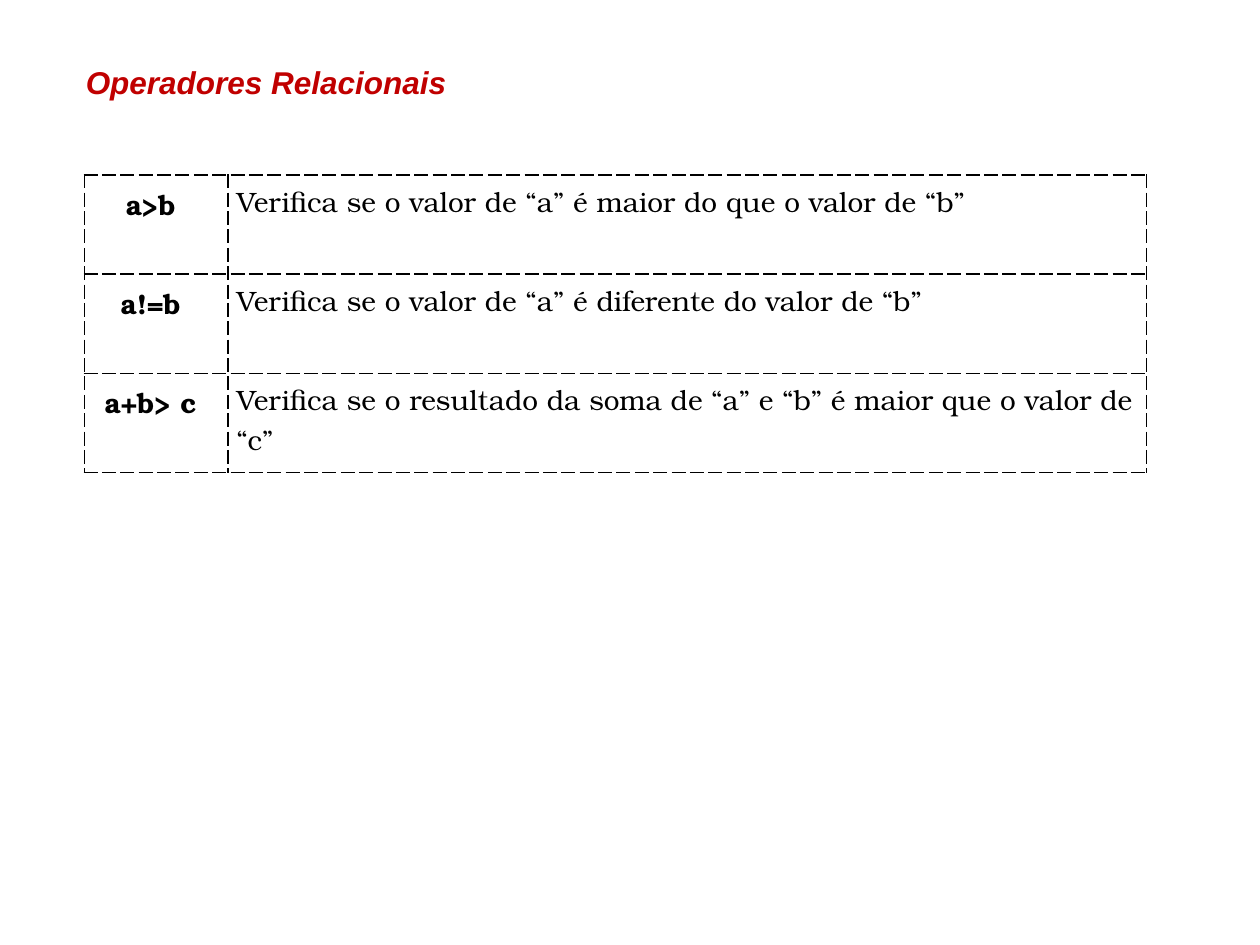
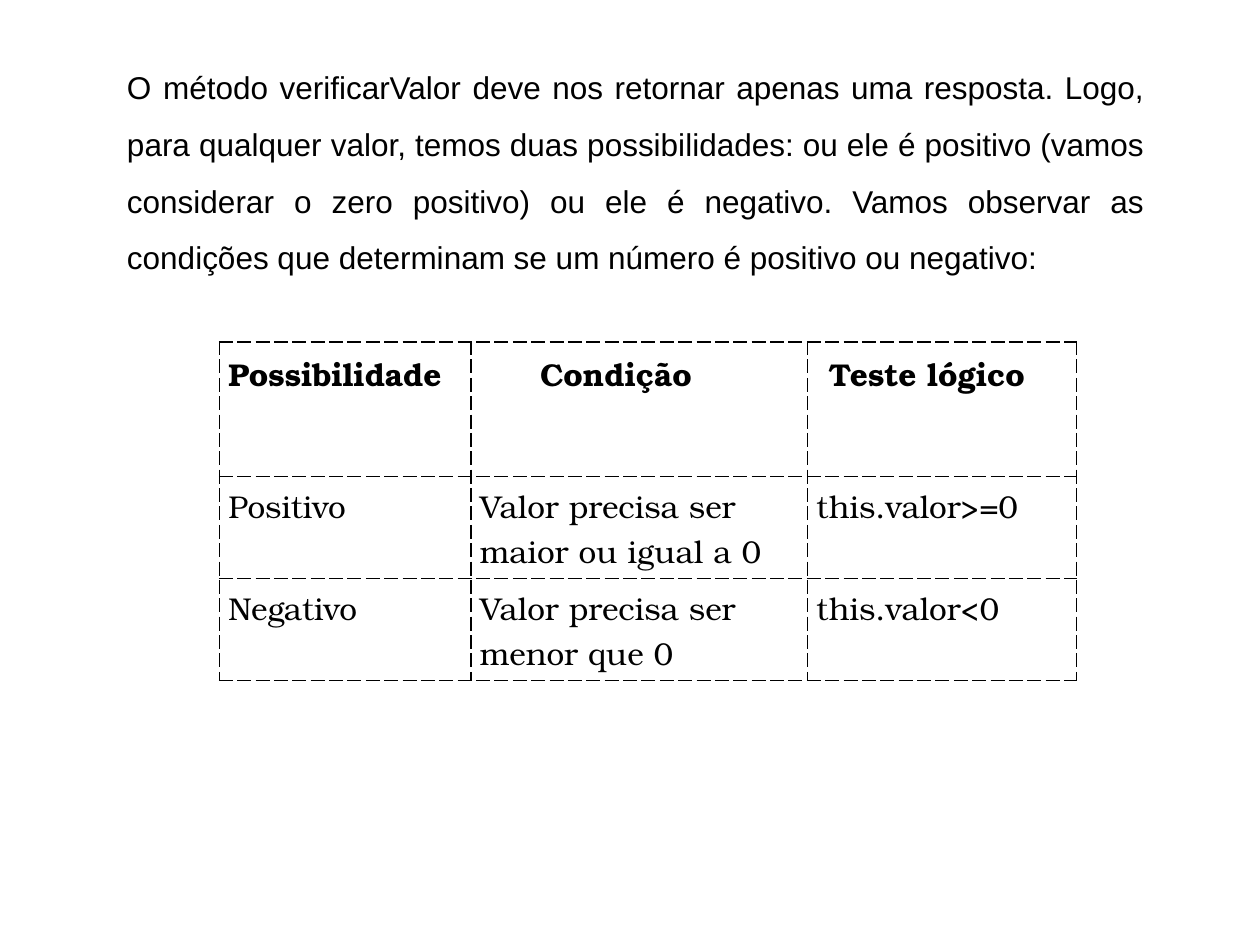
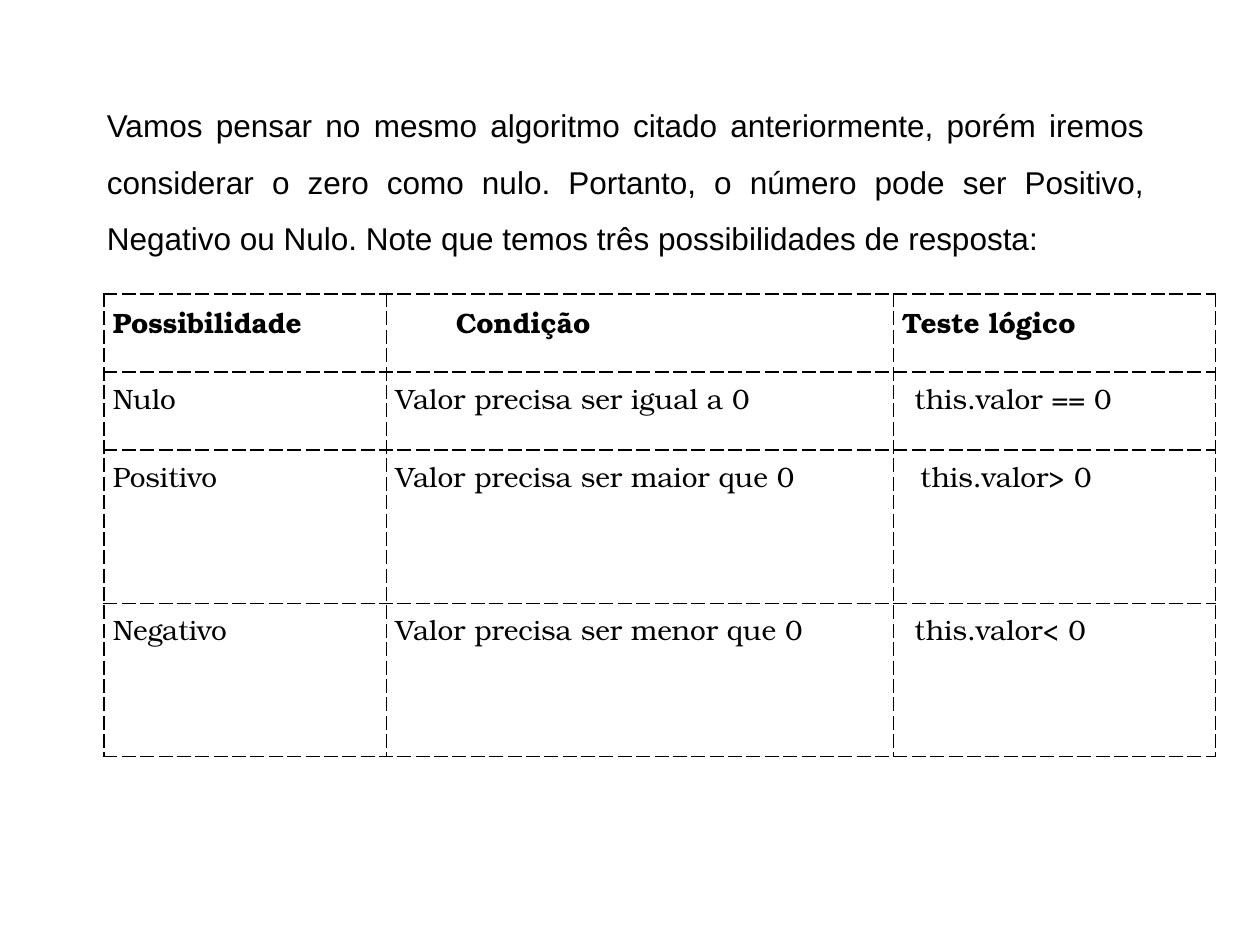
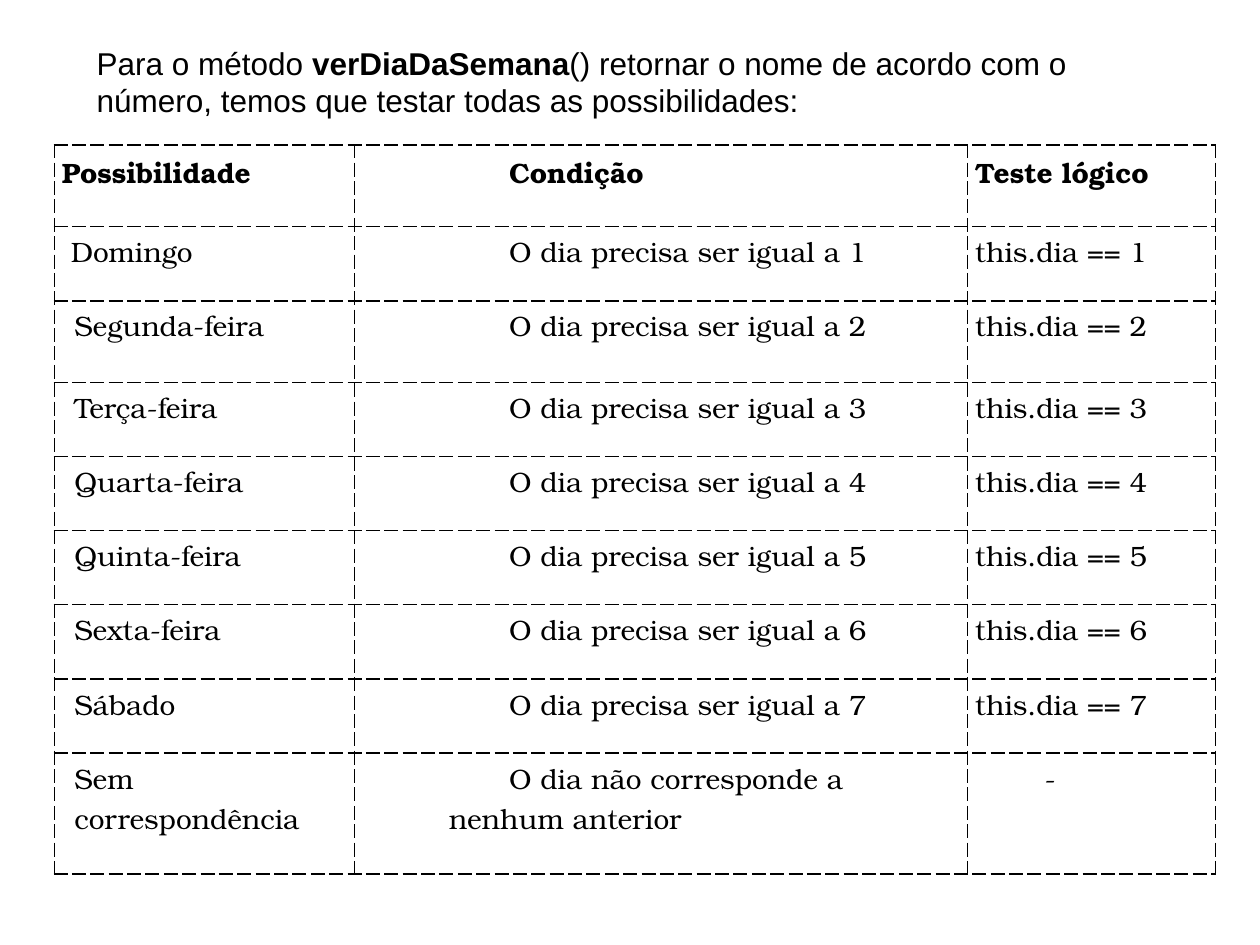
from dataclasses import dataclass

from lxml.etree import SubElement
from pptx import Presentation
from pptx.dml.color import RGBColor
from pptx.enum.text import MSO_ANCHOR, MSO_AUTO_SIZE, PP_ALIGN
from pptx.oxml.ns import qn
from pptx.util import Pt


@dataclass(frozen=True)
class Theme:
    ink: str = "000000"
    title: str = "C00000"
    paper: str = "FFFFFF"
    sans: str = "Arial"
    serif: str = "TeX Gyre Bonum"
    text_size: float = 18
    cell_size: float = 16
    cell_spacing: float = 1.07
    border_width: float = 1
    border_dash: str = "dash"


TITLE_ONLY, BLANK = 5, 6
HEADINGS = ["Possibilidade", "Condição", "Teste lógico"]

# Paragraph indents as (left margin, first line), in points
FIRST_LINE = (0, 34.5)
SMALL = (7.2, 0)
DEEP = (49.7, 34.5)


def write_text(para, text, font, size, color, bold=False, italic=False):
    """Add one formatted span to a paragraph."""
    span = para.add_run()
    span.text = text
    span.font.name = font
    span.font.size = Pt(size)
    span.font.color.rgb = RGBColor.from_string(color)
    span.font.bold = bold
    span.font.italic = italic


class SlideBuilder:
    """Holds the theme, the deck and the page being filled."""

    def __init__(self, theme):
        self.theme = theme
        self.deck = Presentation()
        self.deck.slide_width = Pt(720)
        self.deck.slide_height = Pt(540)
        self.page = None

    def new_page(self, layout=BLANK):
        self.page = self.deck.slides.add_slide(self.deck.slide_layouts[layout])
        fill = self.page.background.fill
        fill.solid()
        fill.fore_color.rgb = RGBColor.from_string(self.theme.paper)

    def title(self, text, left, top, width, height):
        box = self.page.shapes.title
        box.left, box.top, box.width, box.height = map(Pt, (left, top, width, height))
        frame = box.text_frame
        frame.word_wrap = False
        frame.auto_size = MSO_AUTO_SIZE.NONE
        frame.vertical_anchor = MSO_ANCHOR.TOP
        frame.margin_left, frame.margin_top = Pt(49), Pt(4.5)
        para = frame.paragraphs[0]
        para.alignment = PP_ALIGN.LEFT
        write_text(para, text, self.theme.sans, self.theme.text_size,
                   self.theme.title, bold=True, italic=True)

    def intro(self, spans, left, top, width, height,
              align=PP_ALIGN.JUSTIFY, spacing=1.5):
        """Place a paragraph made of (text, bold) spans."""
        box = self.page.shapes.add_textbox(*map(Pt, (left, top, width, height)))
        frame = box.text_frame
        frame.word_wrap = True
        frame.vertical_anchor = MSO_ANCHOR.MIDDLE
        para = frame.paragraphs[0]
        para.alignment = align
        para.line_spacing = spacing
        for text, bold in spans:
            write_text(para, text, self.theme.sans, self.theme.text_size,
                       self.theme.ink, bold=bold)

    def table(self, rows, left, top, widths, heights, margins, size=None,
              bold_row=None, bold_column=None, indents=None):
        """Place a dashed table; indents maps (row, column) to an indent."""
        indents = indents or {}
        frame = self.page.shapes.add_table(
            len(rows), len(widths), Pt(left), Pt(top),
            Pt(sum(widths)), Pt(sum(heights)))
        table = frame.table
        table.first_row = table.horz_banding = False
        for column, width in zip(table.columns, widths):
            column.width = Pt(width)
        for line, height in zip(table.rows, heights):
            line.height = Pt(height)
        for r, texts in enumerate(rows):
            for c, text in enumerate(texts):
                cell = table.cell(r, c)
                self.style_cell(cell, margins)
                para = cell.text_frame.paragraphs[0]
                para.line_spacing = self.theme.cell_spacing
                if c == bold_column:
                    para.alignment = PP_ALIGN.CENTER
                if (r, c) in indents:
                    self.indent(para, *indents[r, c])
                write_text(para, text, self.theme.serif,
                           size or self.theme.cell_size, self.theme.ink,
                           bold=r == bold_row or c == bold_column)

    def style_cell(self, cell, margins):
        (cell.margin_left, cell.margin_top,
         cell.margin_right, cell.margin_bottom) = map(Pt, margins)
        properties = cell._tc.get_or_add_tcPr()
        for side in ("lnL", "lnR", "lnT", "lnB"):
            border = SubElement(properties, qn(f"a:{side}"),
                                w=str(Pt(self.theme.border_width)))
            fill = SubElement(border, qn("a:solidFill"))
            SubElement(fill, qn("a:srgbClr"), val=self.theme.ink)
            SubElement(border, qn("a:prstDash"), val=self.theme.border_dash)
        cell.fill.background()

    @staticmethod
    def indent(para, left, first):
        properties = para._p.get_or_add_pPr()
        properties.set("marL", str(Pt(left)))
        properties.set("indent", str(Pt(first)))


def relational_operators(builder):
    builder.new_page(TITLE_ONLY)
    builder.title("Operadores Relacionais", 0, 31.7, 270, 47.5)
    builder.table(
        [["a>b ", "Verifica se o valor de “a” é maior do que o valor de “b”"],
         ["a!=b ", "Verifica se o valor de “a” é diferente do valor de “b”"],
         ["a+b> c ", "Verifica se o resultado da soma de “a” e “b” é maior que "
                     "o valor de “c”"]],
        48.2, 100, [82, 525], [56.7] * 3, (5, 2.9, 5.8, 0), bold_column=0)


def two_possibilities(builder):
    builder.new_page()
    builder.intro(
        [("O método verificarValor deve nos retornar apenas uma resposta. Logo, "
          "para qualquer valor, temos duas possibilidades: ou ele é positivo "
          "(vamos considerar o zero positivo) ou ele é negativo. Vamos observar "
          "as condições que determinam se um número é positivo ou negativo:",
          False)],
        65.5, 26, 595.5, 134)
    builder.table(
        [HEADINGS,
         ["Positivo", "Valor precisa ser maior ou igual a 0", "this.valor>=0"],
         ["Negativo", "Valor precisa ser menor que 0", "this.valor<0"]],
        125.5, 195.3, [143.7, 192.3, 153.6], [77, 58.3, 58.3],
        (5, 2.9, 1.4, 0), size=builder.theme.text_size, bold_row=0,
        indents={(0, 1): FIRST_LINE, (0, 2): SMALL})


def three_possibilities(builder):
    builder.new_page()
    builder.intro(
        [("Vamos pensar no mesmo algoritmo citado anteriormente, porém iremos "
          "considerar o zero como nulo. Portanto, o número pode ser Positivo, "
          "Negativo ou Nulo. Note que temos três possibilidades de resposta:",
          False)],
        54, 47.5, 607, 101.5)
    builder.table(
        [HEADINGS,
         ["Nulo", "Valor precisa ser igual a 0", "this.valor == 0"],
         ["Positivo", "Valor precisa ser maior que 0", "this.valor> 0"],
         ["Negativo", "Valor precisa ser menor que 0", "this.valor< 0"]],
        59.5, 167.9, [161.5, 289.5, 184], [44.6, 44.6, 87.7, 87.7],
        (5, 2.9, 1.4, 0), bold_row=0,
        indents={(0, 1): FIRST_LINE, (1, 2): SMALL,
                 (2, 2): (10.5, 0), (3, 2): SMALL})


def week_days(builder):
    builder.new_page()
    builder.intro(
        [("Para o método ", False), ("verDiaDaSemana", True),
         ("() retornar o nome de acordo com o número, temos que testar todas "
          "as possibilidades:", False)],
        48.2, 21, 623.5, 51, align=PP_ALIGN.LEFT, spacing=1)
    days = ["Domingo", "Segunda-feira", "Terça-feira", "Quarta-feira",
            "Quinta-feira", "Sexta-feira", "Sábado"]
    rows = [HEADINGS]
    rows += [[day, f"O dia precisa ser igual a {number}", f"this.dia == {number}"]
             for number, day in enumerate(days, start=1)]
    rows.append(["Sem correspondência",
                 "O dia não corresponde a nenhum anterior", "-"])
    last = len(rows) - 1
    indents = {(r, 1): DEEP for r in range(len(rows))}
    indents.update({(r, 0): SMALL for r in range(2, len(rows))})
    indents.update({(1, 0): (5.2, 0), (last, 2): (0, 39.8)})
    builder.table(
        rows, 31, 82.9, [171.5, 350.4, 141.6],
        [46.6, 42.4, 46.6] + [42.4] * 5 + [69.2], (4.3, 2.2, 1.4, 0),
        bold_row=0, indents=indents)


def main():
    builder = SlideBuilder(Theme())
    relational_operators(builder)
    two_possibilities(builder)
    three_possibilities(builder)
    week_days(builder)
    builder.deck.save("out.pptx")


if __name__ == "__main__":
    main()
